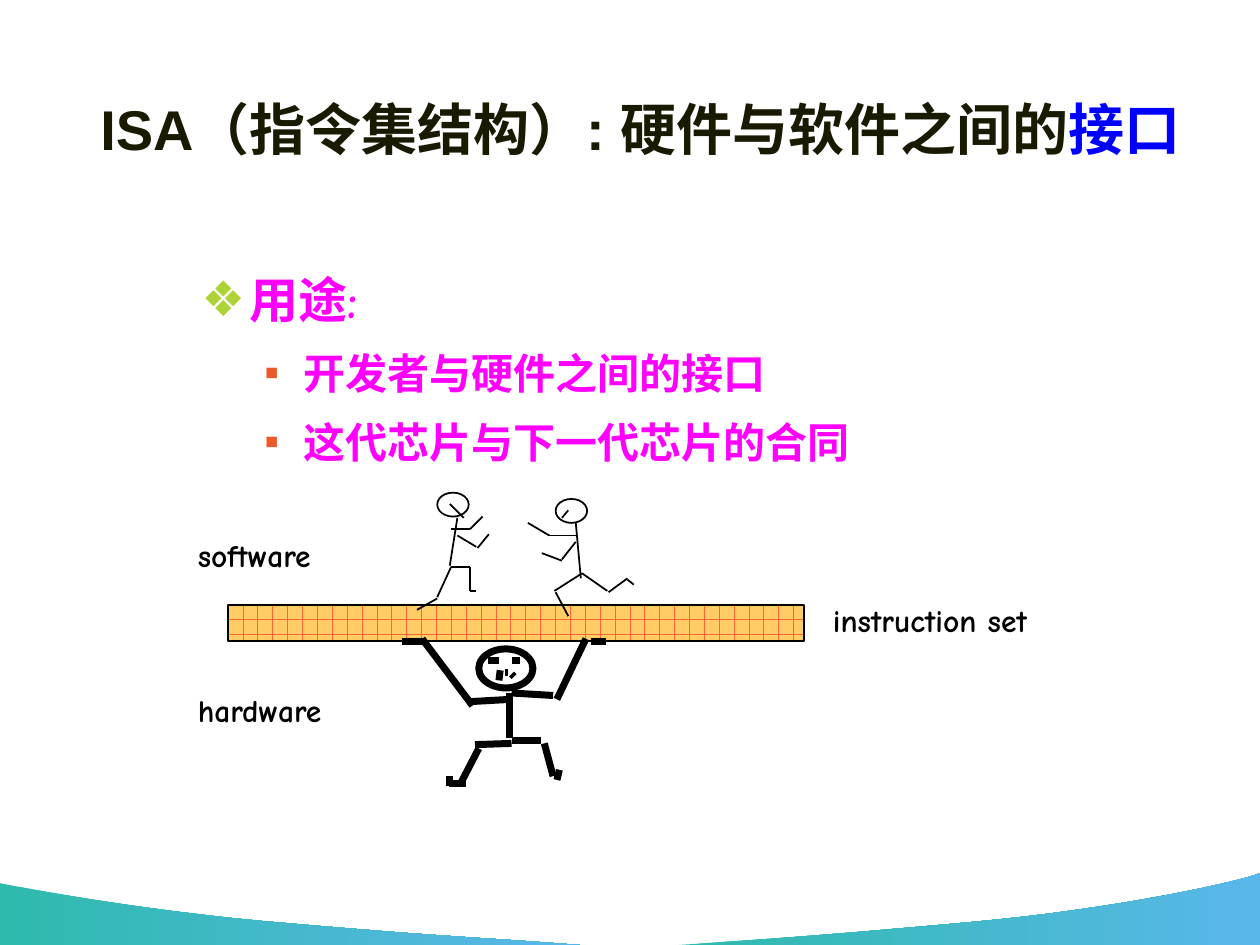
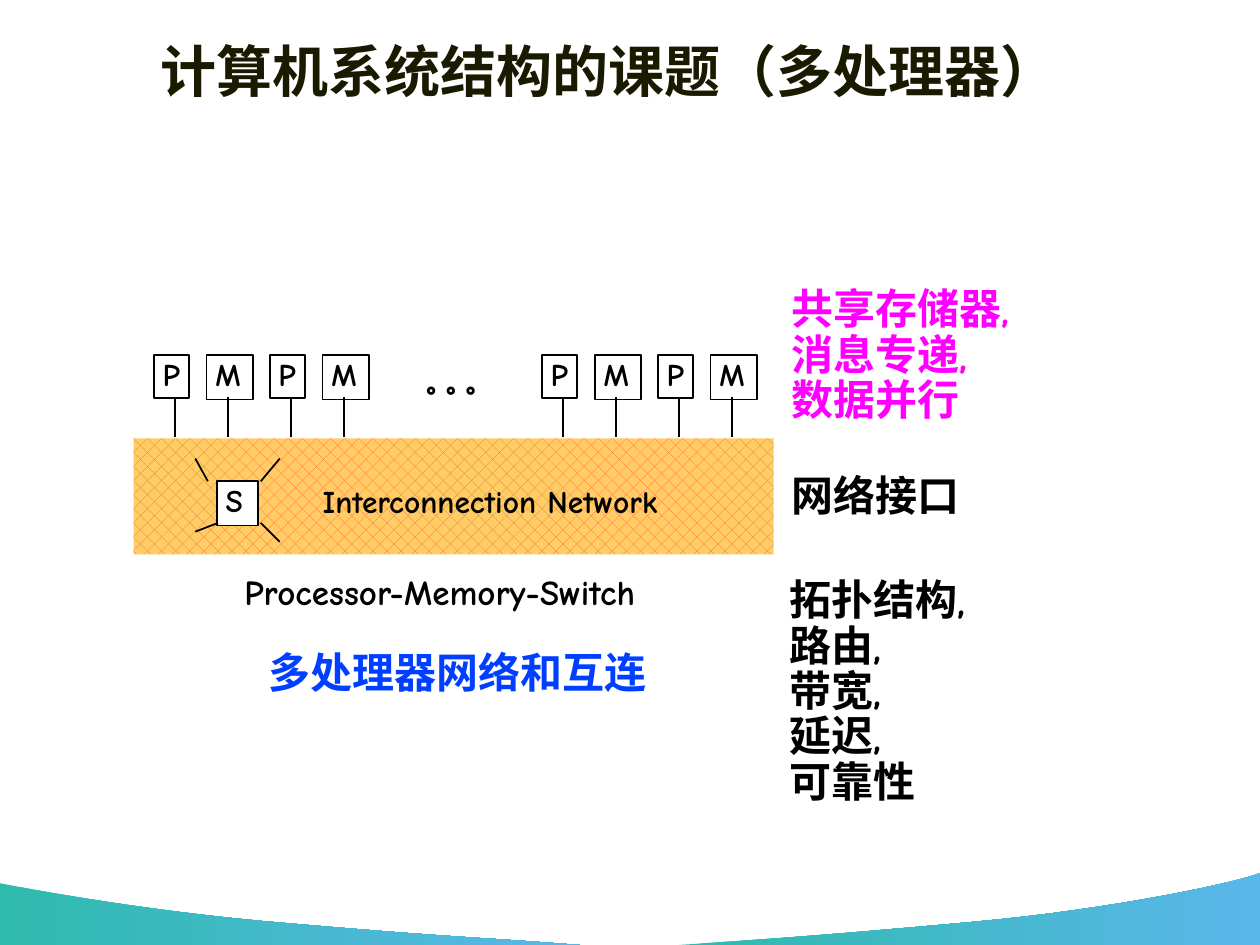
from lxml import etree
from pptx import Presentation
from pptx import util as u
from pptx.dml.color import RGBColor
from pptx.enum import dml, shapes, text
from pptx.oxml.ns import qn

COLORS = {
    "title": "1A1A00", "blue": "0000FF", "network": "003FFF", "magenta": "FF00FF",
    "black": "000000", "white": "FFFFFF", "teal": "2EBAAD", "sky": "5AB7EA",
    "brick": "FF6633", "sand": "FFCC66", "diamond": "AED337", "square": "EB592B",
}
COLORS = {name: RGBColor.from_string(value) for name, value in COLORS.items()}
TITLE = {"name": "Arial", "size": u.Pt(32), "bold": True}
LABEL = {"name": "Comic Neue", "size": u.Pt(18), "bold": True}
CAPTION = {**LABEL, "size": u.Pt(20)}
TOPIC = {**LABEL, "size": u.Pt(24)}
HEADING = {**LABEL, "size": u.Pt(28)}
TIGHT = (0.07, 0.03)
ROOMY = (0.1, 0.05)


def write(shape, lines, font_format, color="black", spacing=0.85, insets=TIGHT, wrap=False):
    frame = shape.text_frame
    frame.word_wrap = wrap
    frame.auto_size = text.MSO_AUTO_SIZE.NONE if wrap else text.MSO_AUTO_SIZE.SHAPE_TO_FIT_TEXT
    frame.vertical_anchor = text.MSO_ANCHOR.TOP
    frame.margin_left = frame.margin_right = u.Inches(insets[0])
    frame.margin_top = frame.margin_bottom = u.Inches(insets[1])
    for index, runs in enumerate(lines):
        paragraph = frame.paragraphs[0] if index == 0 else frame.add_paragraph()
        paragraph.alignment = text.PP_ALIGN.LEFT
        paragraph.line_spacing = spacing
        for words, run_color in [(runs, color)] if isinstance(runs, str) else runs:
            run = paragraph.add_run()
            run.text = words
            for name, value in font_format.items():
                setattr(run.font, name, value)
            run.font.color.rgb = COLORS[run_color]
            etree.SubElement(run.font._element, qn("a:ea"), typeface=font_format["name"])
    return frame


def draw(slide, kind, box, weight=None, fill=None):
    shape = slide.shapes.add_shape(kind, *map(u.Inches, box))
    shape.shadow.inherit = False
    if fill in COLORS:
        shape.fill.solid()
        shape.fill.fore_color.rgb = COLORS[fill]
    elif fill is not None:
        shape.fill.patterned()
        shape.fill.pattern = fill
        shape.fill.fore_color.rgb = COLORS["brick"]
        shape.fill.back_color.rgb = COLORS["sand"]
    else:
        shape.fill.background()
    if weight:
        shape.line.width = u.Pt(weight)
        shape.line.color.rgb = COLORS["black"]
    else:
        shape.line.fill.background()
    return shape


presentation = Presentation()
presentation.slide_width = u.Inches(10)
presentation.slide_height = u.Inches(7.5)

waves = [
    [[(4.6, 7.5), (3.84, 7.44), (3.58, 7.44), (2.32, 7.33)],
     [(2.32, 7.33), (1.06, 7.23), (0.01, 7.01), (0, 7.01)], (0, 7.5)],
    [[(5.39, 7.5), (6.14, 7.45), (6.46, 7.43), (7.69, 7.32)],
     [(7.69, 7.32), (8.92, 7.21), (9.9, 6.98), (10, 6.93)], (10, 7.5)],
]
titles = [
    ((0.2, 0.6, 9.77, 0.84), [("ISA（指令集结构）: 硬件与软件之间的", "title"), ("接口", "blue")]),
    ((0.92, 0.25, 7.83, 0.62), "计算机系统结构的课题（多处理器）"),
]
slides = []
for box, title in titles:
    slide = presentation.slides.add_slide(presentation.slide_layouts[6])
    slides.append(slide)
    for first, second, corner in waves:
        points = []
        for curve in (first, second):
            for step in range(1, 17):
                t = step / 16
                weights = ((1 - t) ** 3, 3 * t * (1 - t) ** 2, 3 * t * t * (1 - t), t ** 3)
                points.append([u.Inches(sum(w * point[axis] for w, point in zip(weights, curve)))
                               for axis in (0, 1)])
        points.append([u.Inches(value) for value in corner])
        builder = slide.shapes.build_freeform(*map(u.Inches, first[0]))
        builder.add_line_segments(points, close=True)
        wave = builder.convert_to_shape()
        wave.shadow.inherit = False
        wave.line.fill.background()
        wave.fill.gradient()
        wave.fill.gradient_angle = 0
        for stop, name in zip(wave.fill.gradient_stops, ("teal", "sky")):
            stop.color.rgb = COLORS[name]
    title_box = slide.shapes.add_textbox(*map(u.Inches, box))
    frame = write(title_box, [title], TITLE, "title", 1.0, ROOMY, True)
    frame.vertical_anchor = text.MSO_ANCHOR.MIDDLE
    frame.paragraphs[0].alignment = text.PP_ALIGN.CENTER
interface_slide, multiprocessor_slide = slides

body = interface_slide.shapes.add_textbox(*map(u.Inches, (1.5, 2, 8.5, 4.5)))
frame = write(body, ["用途:", "开发者与硬件之间的接口", "这代芯片与下一代芯片的合同"],
              TOPIC, "magenta", 1.2, ROOMY, True)
frame.paragraphs[0].runs[0].font.size = HEADING["size"]
bullets = [("❖", "diamond", 0.38, 0.38)] + [("▪", "square", 0.81, 0.31)] * 2
for index, (paragraph, (mark, color, margin, hanging)) in enumerate(zip(frame.paragraphs, bullets)):
    properties = paragraph._p.get_or_add_pPr()
    properties.set("marL", str(u.Inches(margin)))
    properties.set("indent", str(-u.Inches(hanging)))
    bullet_color = etree.SubElement(properties, qn("a:buClr"))
    etree.SubElement(bullet_color, qn("a:srgbClr"), val=str(COLORS[color]))
    etree.SubElement(properties, qn("a:buFont"), typeface="Arial")
    etree.SubElement(properties, qn("a:buChar"), char=mark)
    if index:
        paragraph.level = 1
        paragraph.space_before = u.Pt(4.8)

draw(interface_slide, shapes.MSO_SHAPE.RECTANGLE, (1.81, 4.8, 4.57, 0.29), 1,
     dml.MSO_PATTERN.HORIZONTAL_BRICK)
heads = [(3.47, 3.91, 0.25, 0.19, 1), (4.41, 3.96, 0.25, 0.19, 1), (3.8, 5.15, 0.43, 0.31, 4)]
for *box, weight in heads:
    draw(interface_slide, shapes.MSO_SHAPE.OVAL, box, weight)

draw(multiprocessor_slide, shapes.MSO_SHAPE.RECTANGLE, (1.06, 3.48, 5.08, 0.92), None,
     dml.MSO_PATTERN.PERCENT_25)
switch = draw(multiprocessor_slide, shapes.MSO_SHAPE.RECTANGLE, (1.72, 3.82, 0.33, 0.35), 1, "white")
write(switch, ["S"], LABEL, spacing=0.92)
stems = []
for pair_left in (1.22, 2.14, 4.3, 5.22):
    for letter, offset, width, height in (("P", 0, 0.28, 0.34), ("M", 0.42, 0.37, 0.35)):
        left = pair_left + offset
        node = draw(multiprocessor_slide, shapes.MSO_SHAPE.RECTANGLE, (left, 2.82, width, height), 1)
        write(node, [letter], LABEL, spacing=0.92)
        stems.append((left + 0.17, 3.15, left + 0.17, 3.47))

labels = [
    (interface_slide, (6.54, 4.77, 1.89, 0.33), ["instruction set"], LABEL, "black", 0.92, TIGHT),
    (interface_slide, (1.5, 4.27, 1.21, 0.31), ["software"], LABEL, "black", 0.85, TIGHT),
    (interface_slide, (1.5, 5.5, 1.26, 0.31), ["hardware"], LABEL, "black", 0.85, TIGHT),
    (multiprocessor_slide, (2.49, 3.84, 3.15, 0.31), ["Interconnection Network"],
     LABEL, "black", 0.85, TIGHT),
    (multiprocessor_slide, (3.32, 3.01, 1.11, 0.31), ["° ° °"], LABEL, "black", 0.85, TIGHT),
    (multiprocessor_slide, (6.2, 4.57, 1.64, 1.87),
     ["拓扑结构,", "路由,", "带宽,", "延迟,", "可靠性"], TOPIC, "black", 0.9, TIGHT),
    (multiprocessor_slide, (6.21, 3.74, 1.49, 0.42), ["网络接口"], TOPIC, "black", 0.9, TIGHT),
    (multiprocessor_slide, (6.21, 2.26, 1.98, 1.15),
     ["共享存储器,", "消息专递,", "数据并行"], TOPIC, "magenta", 0.9, TIGHT),
    (multiprocessor_slide, (1.84, 4.48, 3.79, 0.43), ["Processor-Memory-Switch"],
     CAPTION, "black", 1.0, ROOMY),
    (multiprocessor_slide, (2.03, 5.08, 3.24, 0.5), ["多处理器网络和互连"],
     TOPIC, "network", 1.0, ROOMY),
]
for slide, box, *content in labels:
    write(slide.shapes.add_textbox(*map(u.Inches, box)), *content)

left_runner = [
    (3.63, 4.11, 3.57, 4.49), (3.58, 4.5, 3.73, 4.5), (3.73, 4.5, 3.73, 4.69),
    (3.73, 4.69, 3.78, 4.69), (3.58, 4.5, 3.47, 4.74), (3.47, 4.75, 3.31, 4.84),
    (3.63, 4.25, 3.78, 4.34), (3.79, 4.35, 3.88, 4.24), (3.58, 4.2, 3.73, 4.2),
    (3.73, 4.2, 3.83, 4.1), (3.68, 4.11, 3.57, 4),
]
right_runner = [
    (4.57, 4.15, 4.61, 4.59), (4.62, 4.55, 4.4, 4.69), (4.41, 4.7, 4.51, 4.89),
    (4.62, 4.55, 4.82, 4.69), (4.83, 4.7, 4.98, 4.59), (4.98, 4.6, 5.03, 4.64),
    (4.57, 4.3, 4.46, 4.44), (4.46, 4.45, 4.3, 4.39), (4.57, 4.25, 4.35, 4.25),
    (4.36, 4.25, 4.19, 4.15), (4.46, 4.11, 4.51, 4.05),
]
carrier = [
    (3.96, 5.4, 3.97, 5.32), (4.01, 5.34, 4.03, 5.34), (4.06, 5.35, 4.08, 5.37),
    (4.06, 5.24, 4.13, 5.24), (3.96, 5.24, 3.87, 5.24), (3.57, 6.24, 3.57, 6.16),
    (4.04, 5.5, 4.04, 5.86), (4.06, 5.88, 4.29, 5.88), (4.32, 5.9, 4.39, 6.16),
    (4.42, 6.19, 4.44, 6.11), (4.06, 5.9, 3.77, 5.91), (3.8, 5.94, 3.66, 6.21),
    (3.7, 6.22, 3.56, 6.22), (4.06, 5.5, 4.39, 5.52), (4.42, 5.55, 4.65, 5.07),
    (4.69, 5.09, 4.81, 5.09), (4.06, 5.55, 3.71, 5.57), (3.75, 5.6, 3.35, 5.07),
    (3.38, 5.09, 3.19, 5.09),
]
switch_links = [
    (2.07, 3.82, 2.22, 3.64), (1.65, 3.82, 1.55, 3.64),
    (1.73, 4.15, 1.55, 4.22), (2.07, 4.15, 2.22, 4.3),
]
strokes = [
    (interface_slide, 1, left_runner + right_runner),
    (interface_slide, 4, carrier),
    (multiprocessor_slide, 1, stems + switch_links),
]
for slide, weight, segments in strokes:
    for segment in segments:
        line = slide.shapes.add_connector(shapes.MSO_CONNECTOR.STRAIGHT, *map(u.Inches, segment))
        line.line.width = u.Pt(weight)
        line.line.color.rgb = COLORS["black"]
        etree.SubElement(line._element.spPr, qn("a:effectLst"))

presentation.save("out.pptx")
